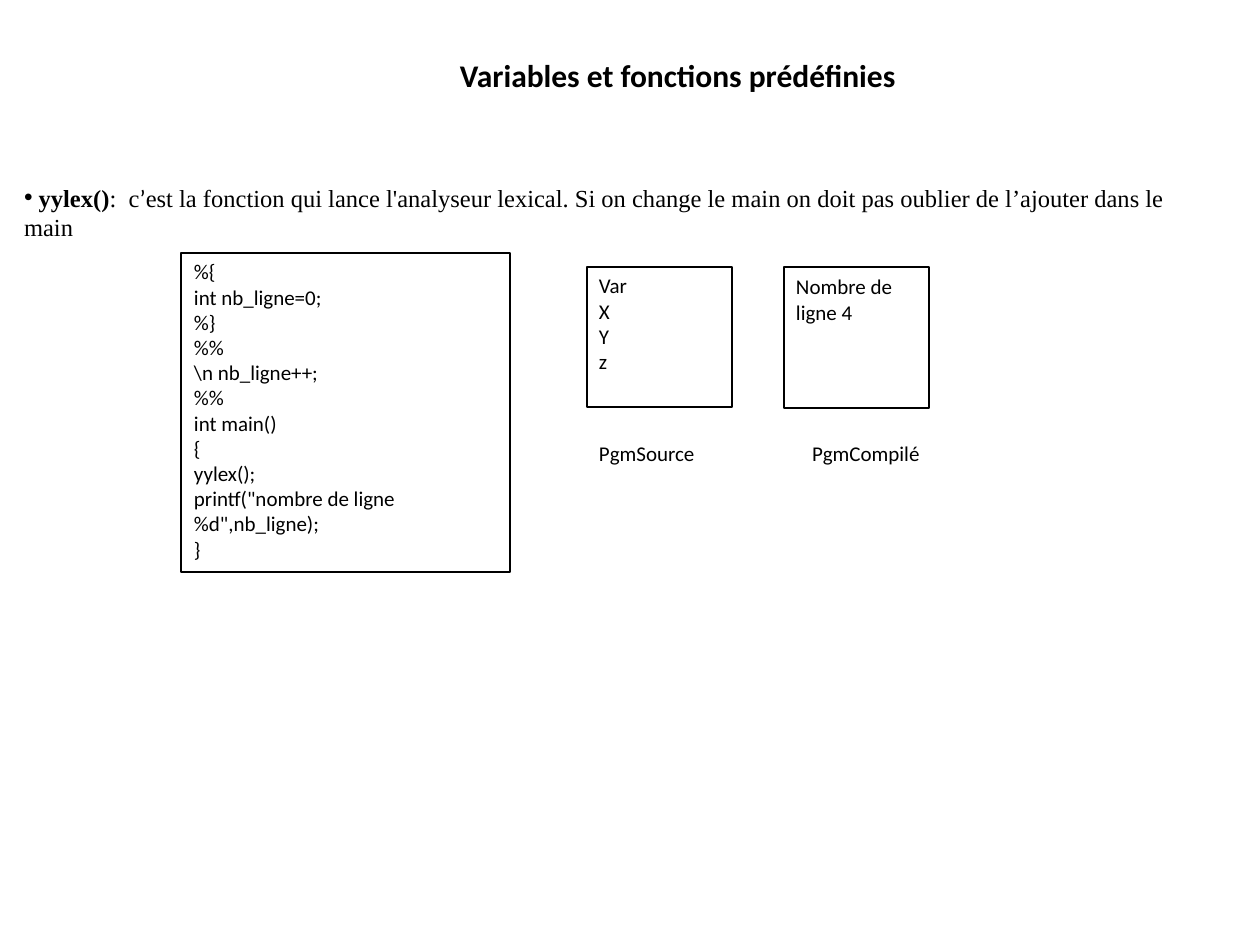
"""Build the slide on the predefined variables and functions of Lex."""
from dataclasses import dataclass

from lxml import etree
from pptx import Presentation
from pptx import util as u
from pptx.dml.color import RGBColor
from pptx.enum import shapes, text
from pptx.oxml.ns import qn

SCALE = 914400 / 126
INSET = 6
COLORS = {"ink": "000000", "paper": "FFFFFF"}
SANS, SERIF = "Calibri", "Times New Roman"


@dataclass(frozen=True)
class Area:
    left: int
    top: int
    width: int
    height: int

    def emu(self) -> list[int]:
        return [px(n) for n in (self.left, self.top, self.width, self.height)]


@dataclass(frozen=True)
class Panel:
    frame: Area
    content: Area
    lines: tuple[str, ...]


@dataclass(frozen=True)
class Label:
    area: Area
    caption: str


TITLE = Area(454, 50, 949, 45)
BODY = Area(18, 192, 1208, 40)
PANELS = (
    Panel(Area(181, 253, 329, 319), Area(188, 253, 315, 323), (
        "%{", "int nb_ligne=0;", "%}", "%%", "\\n nb_ligne++;", "%%",
        "int main()", "{", "yylex();",
        'printf("nombre de ligne %d",nb_ligne);', "}")),
    Panel(Area(587, 267, 145, 140), Area(593, 267, 131, 113),
          ("Var", "X", "Y", "z")),
    Panel(Area(784, 267, 145, 141), Area(790, 268, 131, 60),
          ("Nombre de ligne 4",)),
)
LABELS = (
    Label(Area(593, 435, 116, 34), "PgmSource"),
    Label(Area(806, 435, 145, 34), "PgmCompilé"),
)


def px(length: int) -> u.Emu:
    return u.Emu(round(length * SCALE))


def color(name: str) -> RGBColor:
    return RGBColor.from_string(COLORS[name])


def prepare_frame(box, anchor=text.MSO_ANCHOR.TOP):
    frame = box.text_frame
    frame.word_wrap = True
    frame.auto_size = text.MSO_AUTO_SIZE.NONE
    frame.vertical_anchor = anchor
    frame.margin_left = frame.margin_right = px(INSET)
    frame.margin_top = frame.margin_bottom = px(INSET)
    return frame


def add_span(para, words: str, *, size: int = 12, font: str = SANS,
             bold: bool = False) -> None:
    span = para.add_run()
    span.text = words
    span.font.size = u.Pt(size)
    span.font.name = font
    span.font.bold = bold
    span.font.color.rgb = color("ink")


def add_text(parent, area: Area, lines: tuple[str, ...]) -> None:
    frame = prepare_frame(parent.add_textbox(*area.emu()))
    for index, line in enumerate(lines):
        para = frame.add_paragraph() if index else frame.paragraphs[0]
        add_span(para, line)


def add_panel(page, panel: Panel) -> None:
    group = page.shapes.add_group_shape()
    box = group.shapes.add_shape(shapes.MSO_SHAPE.RECTANGLE,
                                 *panel.frame.emu())
    box.shadow.inherit = False
    box.fill.solid()
    box.fill.fore_color.rgb = color("paper")
    box.line.color.rgb = color("ink")
    box.line.width = u.Pt(0.75)
    add_text(group.shapes, panel.content, panel.lines)


def place(box, area: Area) -> None:
    box.left, box.top, box.width, box.height = area.emu()


def fill_title(box) -> None:
    place(box, TITLE)
    para = prepare_frame(box).paragraphs[0]
    para.alignment = text.PP_ALIGN.LEFT
    add_span(para, "Variables et fonctions prédéfinies", size=18, bold=True)


def fill_body(box) -> None:
    place(box, BODY)
    para = prepare_frame(box, text.MSO_ANCHOR.MIDDLE).paragraphs[0]
    para.space_before = u.Pt(0)
    properties = para._p.get_or_add_pPr()
    properties.set("marL", "0")
    properties.set("indent", "0")
    etree.SubElement(properties, qn("a:buChar")).set("char", "•")
    add_span(para, " yylex()", size=14, font=SERIF, bold=True)
    add_span(para, ":  c", size=14, font=SERIF)
    add_span(para, "’", size=14)
    add_span(para, "est la fonction qui lance l'analyseur lexical. "
             "Si on change le main on doit pas oublier de l’ajouter "
             "dans le main", size=14, font=SERIF)


def main() -> None:
    deck = Presentation()
    deck.slide_width, deck.slide_height = u.Inches(10), u.Inches(7.5)
    page = deck.slides.add_slide(deck.slide_layouts[1])
    fill_title(page.shapes.title)
    fill_body(page.placeholders[1])
    for panel in PANELS:
        add_panel(page, panel)
    for label in LABELS:
        add_text(page.shapes, label.area, (label.caption,))
    deck.save("out.pptx")


if __name__ == "__main__":
    main()
